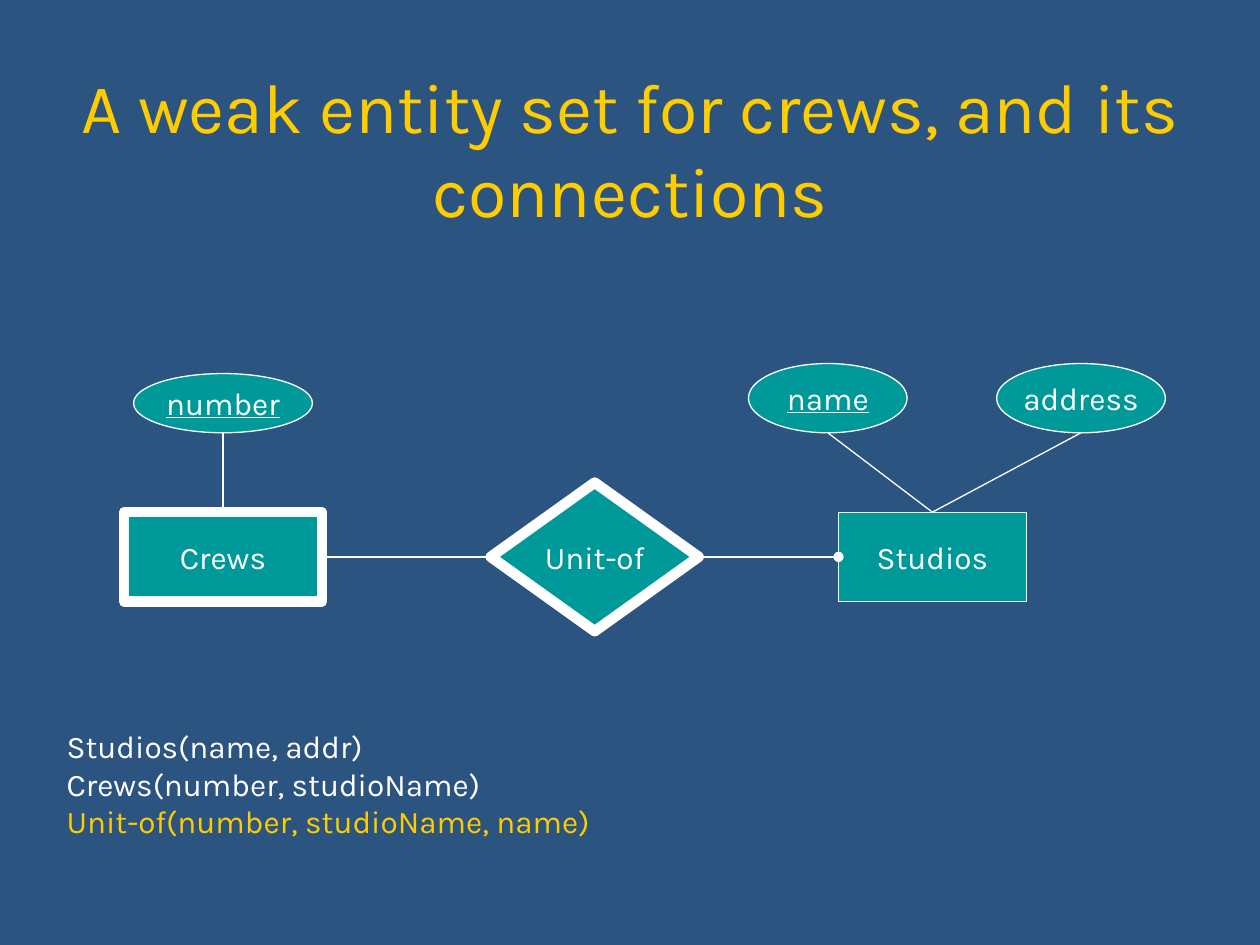
"""Draw an entity-relationship slide: the weak entity set Crews and its connections."""
from dataclasses import dataclass

from lxml.etree import SubElement
from pptx import Presentation
from pptx.dml.color import RGBColor
from pptx.enum.shapes import MSO_CONNECTOR, MSO_SHAPE as Preset
from pptx.enum.text import MSO_ANCHOR as Anchor, PP_ALIGN as Align
from pptx.oxml.ns import qn
from pptx.shapes.autoshape import Shape
from pptx.shapes.connector import Connector
from pptx.slide import Slide
from pptx.text.text import TextFrame
from pptx.util import Inches, Pt

COLUMNS, ROWS = 100, 75
WIDTH, HEIGHT = Inches(10), Inches(7.5)
TOP, LEFT, BOTTOM, RIGHT = range(4)


@dataclass(frozen=True)
class Theme:
    background: RGBColor = RGBColor.from_string("2B5481")
    accent: RGBColor = RGBColor.from_string("FFCC00")
    node: RGBColor = RGBColor.from_string("009999")
    ink: RGBColor = RGBColor.from_string("FFFFFF")
    font: str = "Karla"
    title_size: float = 40
    body_size: float = 18
    thin: float = 0.75
    thick: float = 6


@dataclass(frozen=True)
class Node:
    label: str
    preset: Preset
    center: float
    middle: float
    columns: float
    rows: float
    weak: bool = False
    key: bool = False


THEME = Theme()
AXIS = 44.2
CREWS = Node("Crews", Preset.RECTANGLE, 17.7, AXIS, 15.7, 7.1, weak=True)
STUDIOS = Node("Studios", Preset.RECTANGLE, 74, AXIS, 14.9, 7.1)
UNIT_OF = Node("Unit-of", Preset.FLOWCHART_DECISION, 47.2, AXIS, 16.5, 11.8, weak=True)
ATTRIBUTES = [
    (Node("number", Preset.OVAL, 17.7, 32, 14.2, 4.7, key=True), CREWS),
    (Node("name", Preset.OVAL, 65.7, 31.6, 12.6, 5.5, key=True), STUDIOS),
    (Node("address", Preset.OVAL, 85.8, 31.6, 13.4, 5.5), STUDIOS),
]
RELATIONS = [("Studios(name, addr)", THEME.ink),
             ("Crews(number, studioName)", THEME.ink),
             ("Unit-of(number, studioName, name)", THEME.accent)]


def x(columns: float) -> int:
    return round(WIDTH * columns / COLUMNS)


def y(rows: float) -> int:
    return round(HEIGHT * rows / ROWS)


def write(frame: TextFrame, lines: list[tuple[str, RGBColor]], size: float,
          align: Align, underline: bool = False) -> None:
    for index, (words, color) in enumerate(lines):
        paragraph = frame.paragraphs[0] if index == 0 else frame.add_paragraph()
        paragraph.alignment = align
        run = paragraph.add_run()
        run.text = words
        run.font.name, run.font.size = THEME.font, Pt(size)
        run.font.color.rgb = color
        if underline:
            run.font.underline = True


def add_text(slide: Slide, left: float, top: float, columns: float, rows: float,
             anchor: Anchor) -> TextFrame:
    frame = slide.shapes.add_textbox(x(left), y(top), x(columns), y(rows)).text_frame
    frame.word_wrap = True
    frame.vertical_anchor = anchor
    return frame


def add_node(slide: Slide, node: Node) -> Shape:
    shape = slide.shapes.add_shape(
        node.preset, x(node.center - node.columns / 2), y(node.middle - node.rows / 2),
        x(node.columns), y(node.rows))
    shape.shadow.inherit = False
    shape.fill.solid()
    shape.fill.fore_color.rgb = THEME.node
    shape.line.color.rgb = THEME.ink
    shape.line.width = Pt(THEME.thick if node.weak else THEME.thin)
    frame = shape.text_frame
    frame.word_wrap = False
    frame.vertical_anchor = Anchor.MIDDLE
    write(frame, [(node.label, THEME.ink)], THEME.body_size, Align.CENTER, node.key)
    return shape


def add_link(slide: Slide, start: tuple[int, int], end: tuple[int, int]) -> Connector:
    link = slide.shapes.add_connector(MSO_CONNECTOR.STRAIGHT, *start, *end)
    link.line.color.rgb = THEME.ink
    link.line.width = Pt(THEME.thin)
    SubElement(link._element.spPr, qn("a:effectLst"))
    return link


def join(slide: Slide, first: Shape, second: Shape) -> Connector:
    link = add_link(slide, (first.left + first.width, y(AXIS)), (second.left, y(AXIS)))
    link.begin_connect(first, RIGHT)
    link.end_connect(second, LEFT)
    return link


def main() -> None:
    deck = Presentation()
    deck.slide_width, deck.slide_height = WIDTH, HEIGHT
    slide = deck.slides.add_slide(deck.slide_layouts[6])
    slide.background.fill.solid()
    slide.background.fill.fore_color.rgb = THEME.background

    title = add_text(slide, 5, 4.2, 90, 15, Anchor.MIDDLE)
    write(title, [("A weak entity set for crews, and its connections", THEME.accent)],
          THEME.title_size, Align.CENTER)

    drawn = {node: add_node(slide, node) for node in (CREWS, STUDIOS, UNIT_OF)}
    join(slide, drawn[CREWS], drawn[UNIT_OF])
    exactly_one = join(slide, drawn[UNIT_OF], drawn[STUDIOS])
    SubElement(exactly_one.line._get_or_add_ln(), qn("a:tailEnd"), type="oval")

    for attribute, owner in ATTRIBUTES:
        oval = add_node(slide, attribute)
        bottom = (x(attribute.center), oval.top + oval.height)
        link = add_link(slide, bottom, (x(owner.center), drawn[owner].top))
        link.end_connect(drawn[owner], TOP)

    schema = add_text(slide, 4.3, 57.2, 44.9, 10, Anchor.TOP)
    write(schema, RELATIONS, THEME.body_size, Align.LEFT)
    deck.save("out.pptx")


if __name__ == "__main__":
    main()
